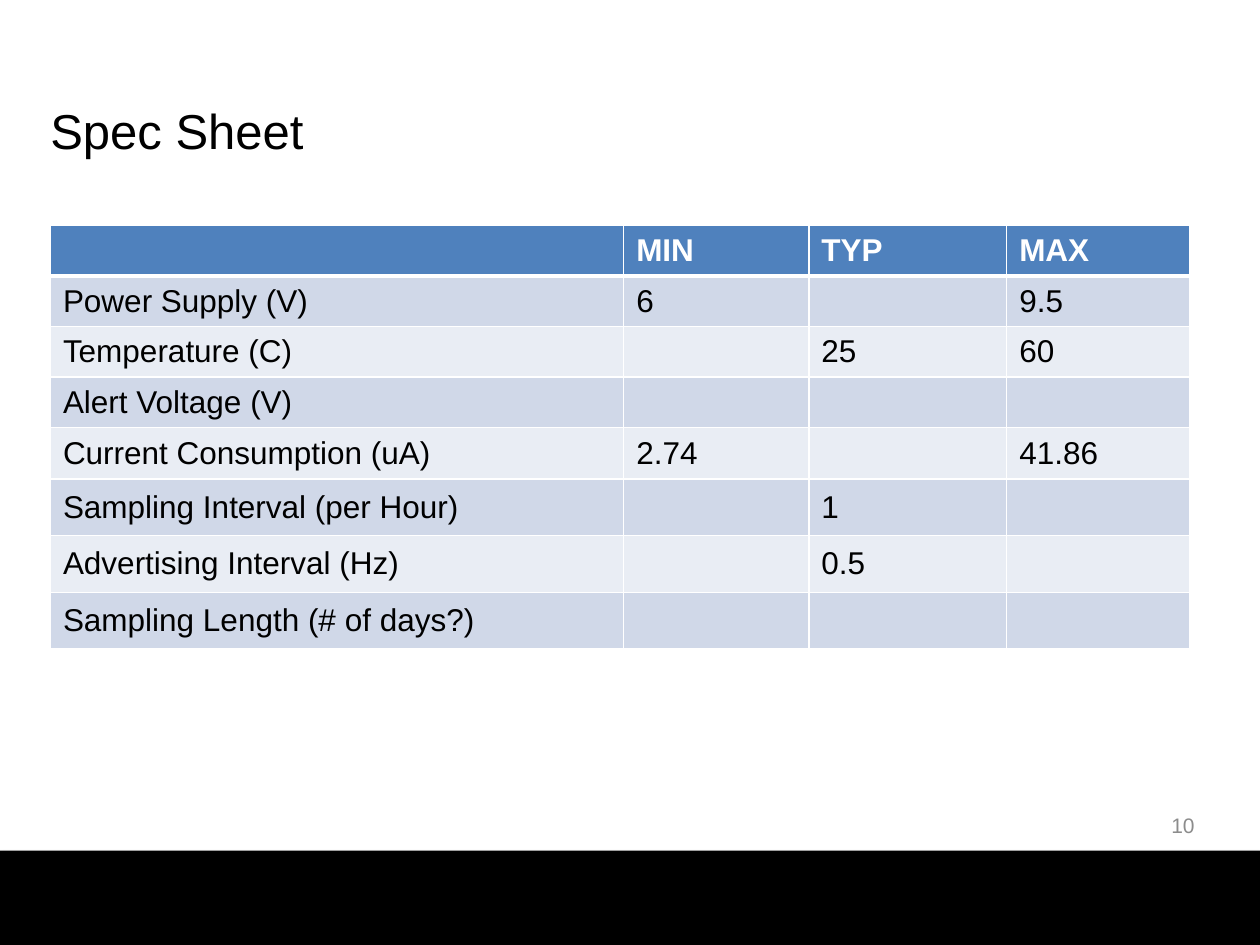
from lxml import etree
from pptx import Presentation
from pptx.dml.color import RGBColor
from pptx.enum.shapes import MSO_SHAPE
from pptx.enum.text import MSO_ANCHOR, PP_ALIGN
from pptx.oxml.ns import qn
from pptx.util import Inches, Pt

RECT = MSO_SHAPE.RECTANGLE
TOP, MID = MSO_ANCHOR.TOP, MSO_ANCHOR.MIDDLE
LEFT, RIGHT = PP_ALIGN.LEFT, PP_ALIGN.RIGHT

HUES = {"ink": "000000", "paper": "FFFFFF", "head": "4F81BD",
        "dark": "D0D8E8", "light": "E9EDF4", "grey": "8C8C8C"}
TITLE = "Spec Sheet"
PAGE = "10"
SPECS = [
    ("", "MIN", "TYP", "MAX"),
    ("Power Supply (V)", "6", "", "9.5"),
    ("Temperature (C)", "", "25", "60"),
    ("Alert Voltage (V)", "", "", ""),
    ("Current Consumption (uA)", "2.74", "", "41.86"),
    ("Sampling Interval (per Hour)", "", "1", ""),
    ("Advertising Interval (Hz)", "", "0.5", ""),
    ("Sampling Length (# of days?)", "", "", ""),
]
COLS = [4.55, 1.47, 1.57, 1.45]
ROWS = [0.4] * 4 + [0.41] + [0.45] * 3
SIDES = ("L", "R", "T", "B")


def hue(name):
    return RGBColor.from_string(HUES[name])


def box(*sizes):
    return [Inches(size) for size in sizes]


def paint(part, name):
    part.fill.solid()
    part.fill.fore_color.rgb = hue(name)


def write(frame, text, size, ink, bold=False, align=LEFT):
    line = frame.paragraphs[0]
    line.alignment = align
    run = line.add_run()
    run.text = text
    form = {"name": "Arial", "size": Pt(size), "bold": bold}
    for key, value in form.items():
        setattr(run.font, key, value)
    run.font.color.rgb = hue(ink)


def add(root, tag, **attrs):
    return etree.SubElement(root, qn(tag), attrs)


def edge(cell, widths):
    props = cell._tc.get_or_add_tcPr()
    for spot, (side, width) in enumerate(zip(SIDES, widths)):
        line = etree.Element(qn("a:ln" + side), w=str(Pt(width)))
        add(add(line, "a:solidFill"), "a:srgbClr", val=HUES["paper"])
        props.insert(spot, line)


deck = Presentation()
deck.slide_width, deck.slide_height = box(10, 7.5)
slide = deck.slides.add_slide(deck.slide_layouts[5])
shapes = slide.shapes

bar = shapes.add_shape(RECT, *box(0, 6.75, 10, 0.75))
paint(bar, "ink")
bar.line.fill.background()
bar.shadow.inherit = False
glow = add(bar._element.spPr.find(qn("a:effectLst")), "a:outerShdw",
           blurRad=str(Pt(3.1)), dist=str(Pt(1.8)), dir="5400000", rotWithShape="0")
add(add(glow, "a:srgbClr", val=HUES["ink"]), "a:alpha", val="35000")

title = shapes.title
title.left, title.top, title.width, title.height = box(0.3, 0.75, 9.28, 5)
title.text_frame.vertical_anchor = TOP
write(title.text_frame, TITLE, 28, "ink")

page = shapes.add_textbox(*box(7.25, 6.35, 2.33, 0.4)).text_frame
page.word_wrap = True
page.vertical_anchor = MID
write(page, PAGE, 12, "grey", align=RIGHT)

grid = shapes.add_table(len(ROWS), len(COLS), *box(0.4, 1.79, sum(COLS), sum(ROWS))).table
for col, width in zip(grid.columns, COLS):
    col.width = Inches(width)
for row, high in zip(grid.rows, ROWS):
    row.height = Inches(high)
for r, specs in enumerate(SPECS):
    head = r == 0
    for c, text in enumerate(specs):
        cell = grid.cell(r, c)
        cell.vertical_anchor = MID
        paint(cell, "head" if head else "dark" if r % 2 else "light")
        edge(cell, (1, 1, 3 if r == 1 else 1, 3 if head else 1))
        if text:
            write(cell.text_frame, text, 18, "paper" if head else "ink", head)

deck.save("out.pptx")
